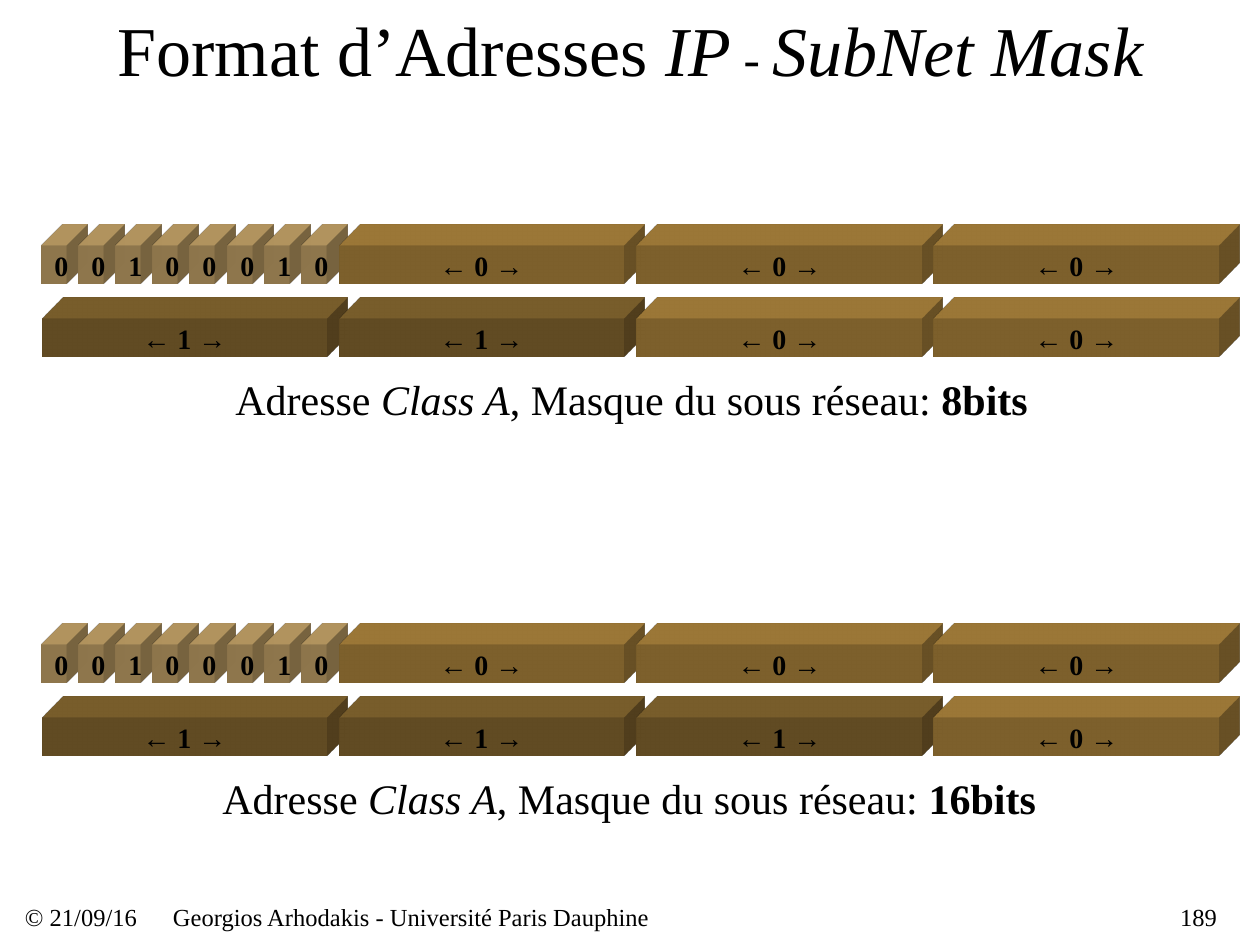
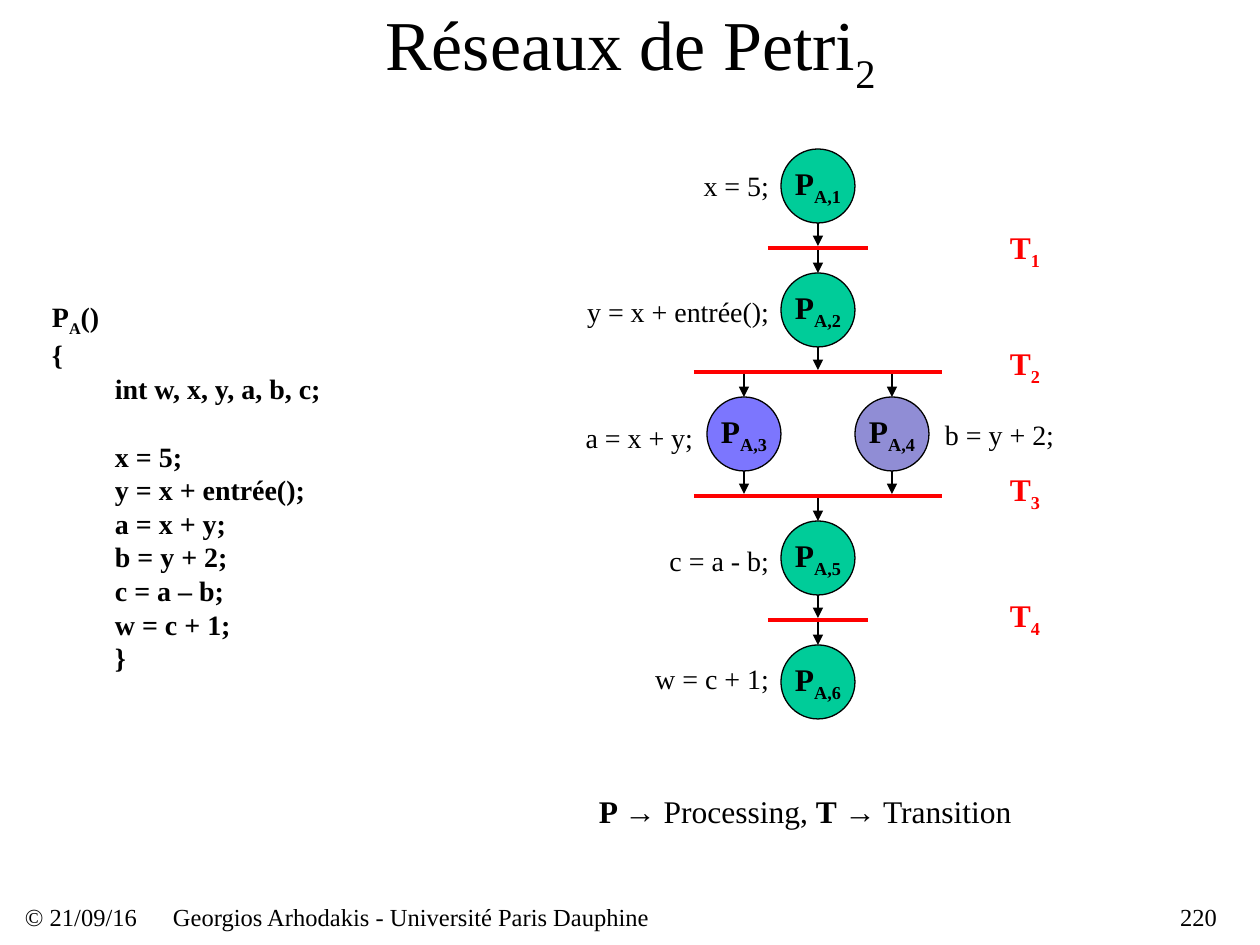
from itertools import pairwise

from lxml import etree
from pptx import Presentation, util as u
from pptx.dml.color import RGBColor
from pptx.enum import shapes, text
from pptx.oxml.ns import qn

PX = 914400 / 126
FONT = "Times New Roman"
COLORS = {
    "ink": "000000", "red": "FE0000",
    "green": "00CC99", "blue": "7C76FE", "mauve": "908DD5",
    "bit": "CBA96D", "zero": "B1883F", "one": "896A31",
}
LEFT, CENTER, RIGHT, FULL = (text.PP_ALIGN.LEFT, text.PP_ALIGN.CENTER,
                             text.PP_ALIGN.RIGHT, text.PP_ALIGN.JUSTIFY)


def emu(*px):
    return [u.Emu(round(n * PX)) for n in px]


def rgb(name):
    return RGBColor.from_string(COLORS[name])


def node(parent, tag, **attrs):
    return etree.SubElement(parent, qn(tag), **attrs)


class Deck:
    def __init__(self):
        self.prs = Presentation()
        self.prs.slide_width, self.prs.slide_height = emu(1260, 945)

    def page(self, title, number):
        blank = self.prs.slide_layouts[6]
        self.items = self.prs.slides.add_slide(blank).shapes
        self.label((25, 888, 136, 58), "© 21/09/16", 14)
        self.label((173, 902, 861, 29),
                   "Georgios Arhodakis - Université Paris Dauphine", 14)
        self.label((1091, 902, 126, 29), number, 14, RIGHT)
        self.label((95, 0, 1071, 97), title, 40, CENTER, pad=True)

    def runs(self, para, runs, size, color="ink"):
        """Each run is (text, flags[, size]); flags: b bold, i italic, s subscript."""
        if isinstance(runs, str):
            runs = [(runs, "")]
        for words, flags, *own in runs:
            run = para.add_run()
            run.text = words
            font = run.font
            font.name, font.size = FONT, u.Pt(own[0] if own else size)
            font.bold, font.italic = "b" in flags, "i" in flags
            font.color.rgb = rgb(color)
            if "s" in flags:
                font._element.set("baseline", "-25000")

    def frame(self, shape, pad, wrap):
        frame = shape.text_frame
        frame.word_wrap = wrap
        frame.vertical_anchor = text.MSO_ANCHOR.MIDDLE
        if not pad:
            frame.margin_left = frame.margin_right = 0
            frame.margin_top = frame.margin_bottom = 0
        return frame

    def label(self, box, runs, size, align=LEFT, color="ink", pad=False):
        frame = self.frame(self.items.add_textbox(*emu(*box)), pad, True)
        para = frame.paragraphs[0]
        para.alignment = align
        self.runs(para, runs, size, color)

    def code(self, box, lines, size):
        """Each line is (runs, indent, gap before), in px."""
        frame = self.frame(self.items.add_textbox(*emu(*box)), False, True)
        for i, (runs, indent, gap) in enumerate(lines):
            para = frame.add_paragraph() if i else frame.paragraphs[0]
            props = para._p.get_or_add_pPr()
            props.set("marL", str(emu(indent)[0]))
            props.set("indent", "0")
            if gap:
                para.space_before = emu(gap)[0]
            self.runs(para, runs, size)

    def shape(self, kind, box, fill, runs, size, pad, wrap, edge=None):
        shape = self.items.add_shape(kind, *emu(*box))
        shape.shadow.inherit = False
        shape.fill.solid()
        shape.fill.fore_color.rgb = rgb(fill)
        if edge:
            shape.line.color.rgb = rgb(edge)
            shape.line.width = u.Pt(0.75)
        else:
            shape.line.fill.background()
        para = self.frame(shape, pad, wrap).paragraphs[0]
        para.alignment = CENTER
        self.runs(para, runs, size)
        return shape

    def block(self, x, y, wide, words, kind):
        """Bar extruded up and to the right."""
        bar = self.shape(shapes.MSO_SHAPE.RECTANGLE, (x, y, wide, 38), kind,
                         [(words, "b")], 16, True, kind == "bit")
        props = bar._element.spPr
        scene = node(props, "a:scene3d")
        node(scene, "a:camera", prst="legacyObliqueTopRight")
        node(scene, "a:lightRig", rig="legacyFlat3", dir="r")
        solid = node(props, "a:sp3d", extrusionH="430200",
                     prstMaterial="legacyMatte")
        tint = node(solid, "a:extrusionClr")
        node(tint, "a:srgbClr", val=COLORS[kind])

    def line(self, start, end, color="ink", width=0.75, arrow=False):
        line = self.items.add_connector(shapes.MSO_CONNECTOR.STRAIGHT,
                                        *emu(*start, *end))
        line.line.color.rgb = rgb(color)
        line.line.width = u.Pt(width)
        if arrow:
            node(line.line._get_or_add_ln(), "a:tailEnd", type="triangle")
        node(line._element.spPr, "a:effectLst")
        return line


def mask_page(deck):
    deck.page([("Format d’Adresses ", ""), ("IP", "i"), (" - ", "", 28),
               ("SubNet Mask", "i")], "189")
    spots = [round(41.5 + 37.2 * i) for i in range(32)]
    octets, wide = spots[::8], 285
    cases = [(246, "1100", "8bits", (223, 367, 819, 63), FULL),
             (645, "1110", "16bits", (210, 766, 840, 63), LEFT)]
    for top, mask, bits, box, align in cases:
        for x, bit in zip(spots, "00100010"):
            deck.block(x, top, 25, bit, "bit")
        for x in octets[1:]:
            deck.block(x, top, wide, "← 0 →", "zero")
        for x, bit in zip(octets, mask):
            deck.block(x, top + 73, wide, f"← {bit} →",
                       "one" if bit == "1" else "zero")
        deck.label(box, [("Adresse ", ""), ("Class A", "i"),
                         (", Masque du sous réseau: ", ""), (bits, "b")],
                   24, align, pad=True)


def petri_page(deck):
    deck.page([("Réseaux de Petri", ""), ("2", "s")], "220")
    first, pitch, size, mid = 149, 124, 74, 818
    # centre x, row, colour
    places = [(mid, 0, "green"), (mid, 1, "green"), (744, 2, "blue"),
              (892, 2, "mauve"), (mid, 3, "green"), (mid, 4, "green")]
    for i, (x, row, color) in enumerate(places, 1):
        top = first + row * pitch
        place = deck.shape(shapes.MSO_SHAPE.FLOWCHART_CONNECTOR,
                           (x - size // 2, top, size, size), color,
                           [("P", "b"), (f"A,{i}", "bs")], 18, False, False,
                           "ink")
        if row > 0:
            deck.line((x, top - 25), (x, top), arrow=True).end_connect(place, 0)
        if row < 4:
            deck.line((x, top + size), (x, top + size + 23), arrow=True)

    short, long = (768, mid, 868), (694, 744, mid, 892, 942)
    steps = [(short, 231), (long, 347), (long, 473), (short, 599)]
    for i, (stops, top) in enumerate(steps):
        y = first + size + 25 + i * pitch
        for start, end in pairwise(stops):
            deck.line((start, y), (end, y), "red", 2.25)
        deck.label((987, top, 76, 38), [("T", "b"), (str(i + 1), "bs")],
                   18, CENTER, "red")

    notes = [("x = 5;", 630, 168), ("y = x + entrée();", 571, 294),
             ("a = x + y;", 554, 420), ("c = a - b;", 630, 543),
             ("w = c + 1;", 630, 661)]
    for words, left, top in notes:
        right = 693 if left == 554 else 769
        deck.label((left, top, right - left, 34), words, 16, RIGHT)
    deck.label((945, 417, 139, 34), "b = y + 2;", 16)

    body = ["int w, x, y, a, b, c;", "x = 5;", "y = x + entrée();",
            "a = x + y;", "b = y + 2;", "c = a – b;", "w = c + 1;", "}"]
    lines = [([("P", "b"), ("A", "bs"), ("()", "b")], 0, 0),
             ([("{", "b")], 0, 0)]
    lines += [([(words, "b")], 63, 34 if words == "x = 5;" else 0)
              for words in body]
    deck.code((52, 302, 284, 370), lines, 16)
    deck.label((599, 792, 431, 38),
               [("P ", "b"), ("→ Processing, ", ""), ("T ", "b"),
                ("→ Transition", "")], 18, FULL)


def main():
    deck = Deck()
    mask_page(deck)
    petri_page(deck)
    deck.prs.save("out.pptx")


if __name__ == "__main__":
    main()
